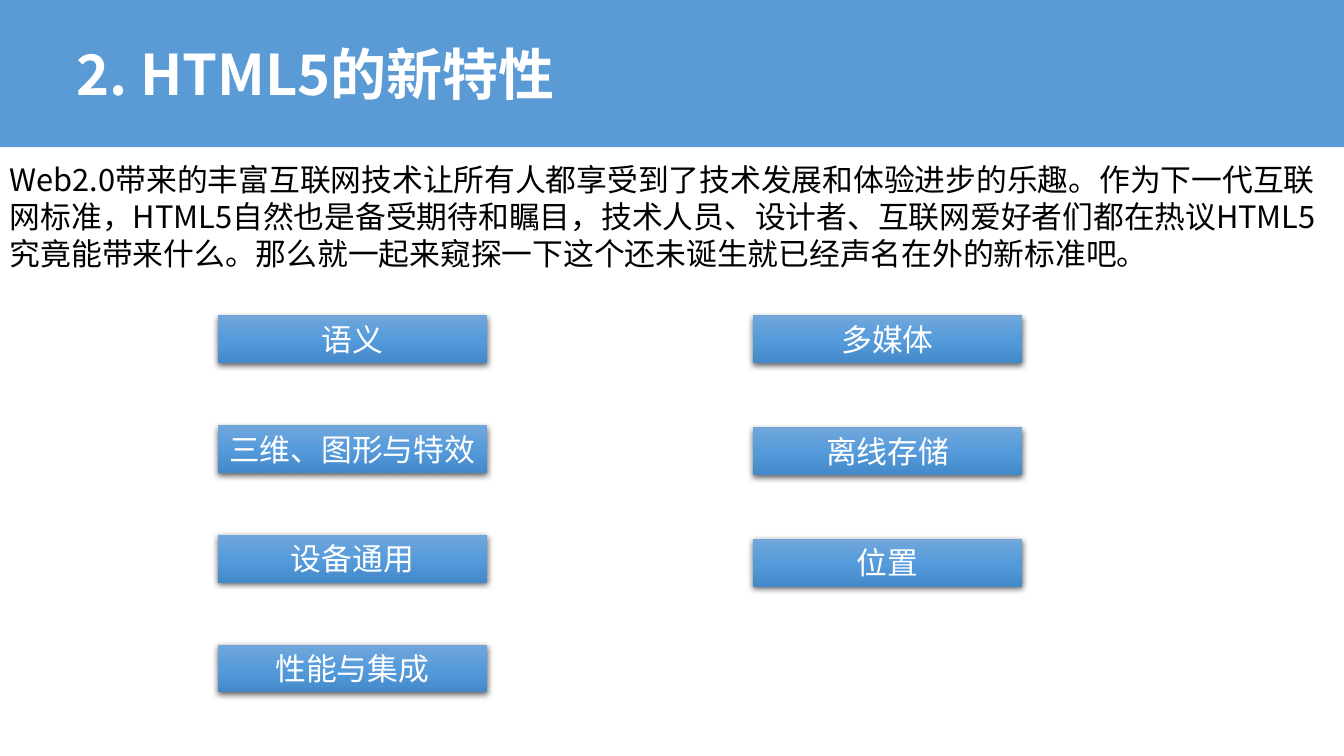
from copy import deepcopy

from lxml.etree import SubElement
from pptx import Presentation
from pptx.dml.color import RGBColor
from pptx.enum.shapes import MSO_SHAPE as Preset
from pptx.enum.text import MSO_ANCHOR as Anchor, MSO_AUTO_SIZE as AutoSize, PP_ALIGN as Align
from pptx.oxml import parse_xml
from pptx.oxml.ns import nsdecls, qn
from pptx.util import Emu, Pt

PX = 9144  # 100 px to the inch
FONT = "Noto Sans CJK SC"
WHITE = RGBColor(0xFF, 0xFF, 0xFF)
BLACK = RGBColor(0x00, 0x00, 0x00)
HEADER_BLUE = RGBColor(0x5B, 0x9B, 0xD5)
BUTTON_STOPS = [
    (0, RGBColor(0x71, 0xA6, 0xDB)),
    (0.5, RGBColor(0x55, 0x9B, 0xDB)),
    (1, RGBColor(0x44, 0x8A, 0xCA)),
]
BUTTON_SHADOW = (
    f'<a:effectLst {nsdecls("a")}>'
    '<a:outerShdw blurRad="57150" dist="19050" dir="5400000" algn="ctr" rotWithShape="0">'
    '<a:srgbClr val="000000"><a:alpha val="63000"/></a:srgbClr>'
    '</a:outerShdw></a:effectLst>'
)

TITLE = "2. HTML5的新特性"
INTRO = (
    "Web2.0带来的丰富互联网技术让所有人都享受到了技术发展和体验进步的乐趣。"
    "作为下一代互联网标准，HTML5自然也是备受期待和瞩目，"
    "技术人员、设计者、互联网爱好者们都在热议HTML5究竟能带来什么。"
    "那么就一起来窥探一下这个还未诞生就已经声名在外的新标准吧。"
)
# Left edge, vertical pitch and labels of each column
COLUMNS = [
    (216, 109, ["语义", "三维、图形与特效", "设备通用", "性能与集成"]),
    (747, 111, ["多媒体", "离线存储", "位置"]),
]
FIRST_ROW = 313


class Slide:
    """The page being drawn, with the style shared by its elements."""

    def __init__(self, deck):
        self.page = deck.slides.add_slide(deck.slide_layouts[5])

    def scale(self, *lengths):
        return [Emu(length * PX) for length in lengths]

    def fill_text(self, shape, text, size, color, bold=False, align=Align.LEFT, **frame_format):
        frame = shape.text_frame
        for name, value in frame_format.items():
            setattr(frame, name, value)
        para = frame.paragraphs[0]
        para.alignment = align
        span = para.add_run()
        span.text = text
        font_format = {"name": FONT, "size": Pt(size), "bold": bold}
        for name, value in font_format.items():
            setattr(span.font, name, value)
        span.font.color.rgb = color
        SubElement(span._r.get_or_add_rPr(), qn("a:ea"), typeface=FONT)

    def rectangle(self, *place):
        box = self.page.shapes.add_shape(Preset.RECTANGLE, *self.scale(*place))
        box.shadow.inherit = False
        box.line.fill.background()
        return box

    def header(self, text):
        bar = self.rectangle(0, 0, 1333, 146)
        bar.width = Emu(12192000)  # full slide width
        bar.fill.solid()
        bar.fill.fore_color.rgb = HEADER_BLUE
        title = self.page.shapes.title
        bar._element.addnext(title._element)  # title in front of the bar
        title.left, title.top, title.width, title.height = self.scale(66, 0, 1176, 146)
        self.fill_text(title, text, 40, WHITE, bold=True,
                       vertical_anchor=Anchor.MIDDLE, word_wrap=True)

    def text(self, text, *place):
        box = self.page.shapes.add_textbox(*self.scale(*place))
        self.fill_text(box, text, 22, BLACK, word_wrap=True,
                       auto_size=AutoSize.SHAPE_TO_FIT_TEXT)

    def button(self, text, left, top):
        box = self.rectangle(left, top, 267, 47)
        box.fill.gradient()
        box.fill.gradient_angle = 270
        stop_list = box._element.spPr.find(".//" + qn("a:gsLst"))
        stop_list.append(deepcopy(stop_list[-1]))
        for stop, (position, color) in zip(box.fill.gradient_stops, BUTTON_STOPS):
            stop.position = position
            stop.color.rgb = color
        effects = box._element.spPr.find(qn("a:effectLst"))
        effects.getparent().replace(effects, parse_xml(BUTTON_SHADOW))
        self.fill_text(box, text, 22, WHITE, align=Align.CENTER, word_wrap=len(text) < 8,
                       vertical_anchor=Anchor.TOP, auto_size=AutoSize.SHAPE_TO_FIT_TEXT)


def main():
    deck = Presentation()
    deck.slide_width, deck.slide_height = Emu(12192000), Emu(6858000)
    slide = Slide(deck)

    # Header and introduction
    slide.header(TITLE)
    slide.text(INTRO, 0, 155, 1319, 121)

    # Feature buttons
    for left, pitch, labels in COLUMNS:
        for row, label in enumerate(labels):
            slide.button(label, left, FIRST_ROW + row * pitch)

    deck.save("out.pptx")


if __name__ == "__main__":
    main()
